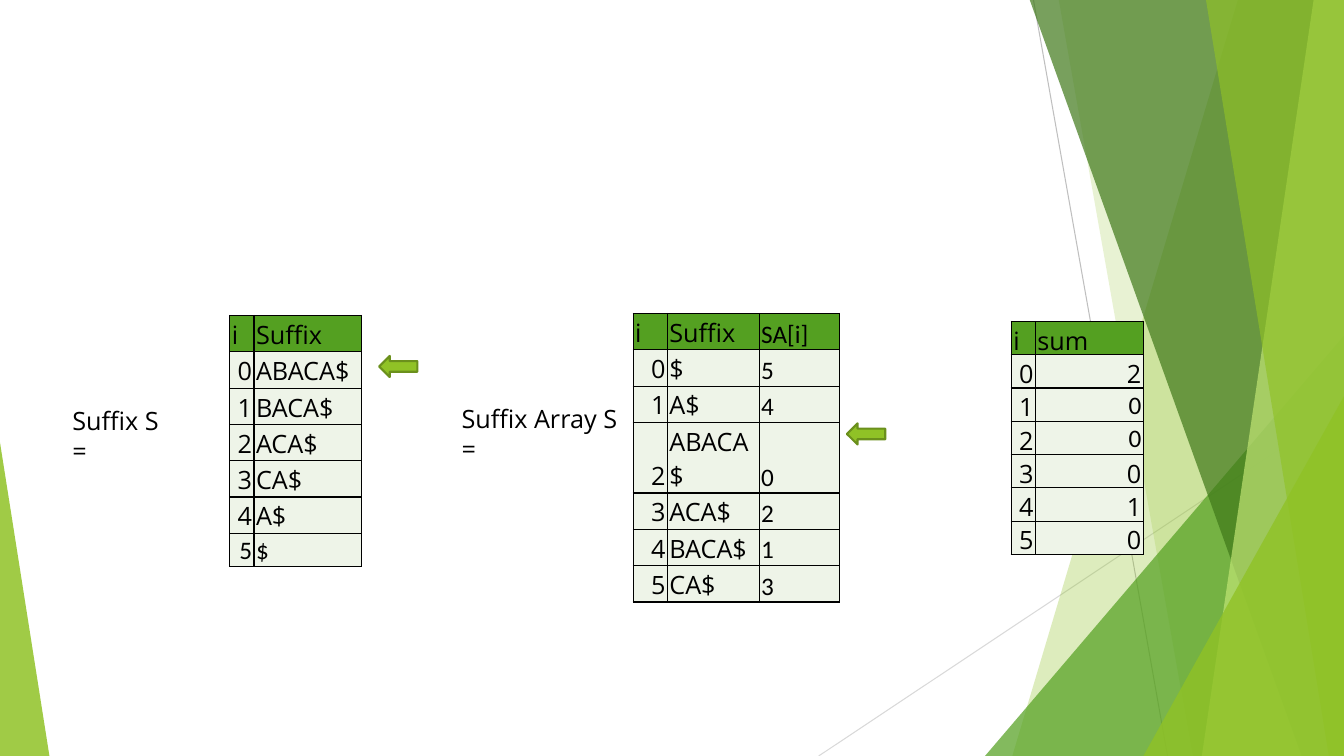
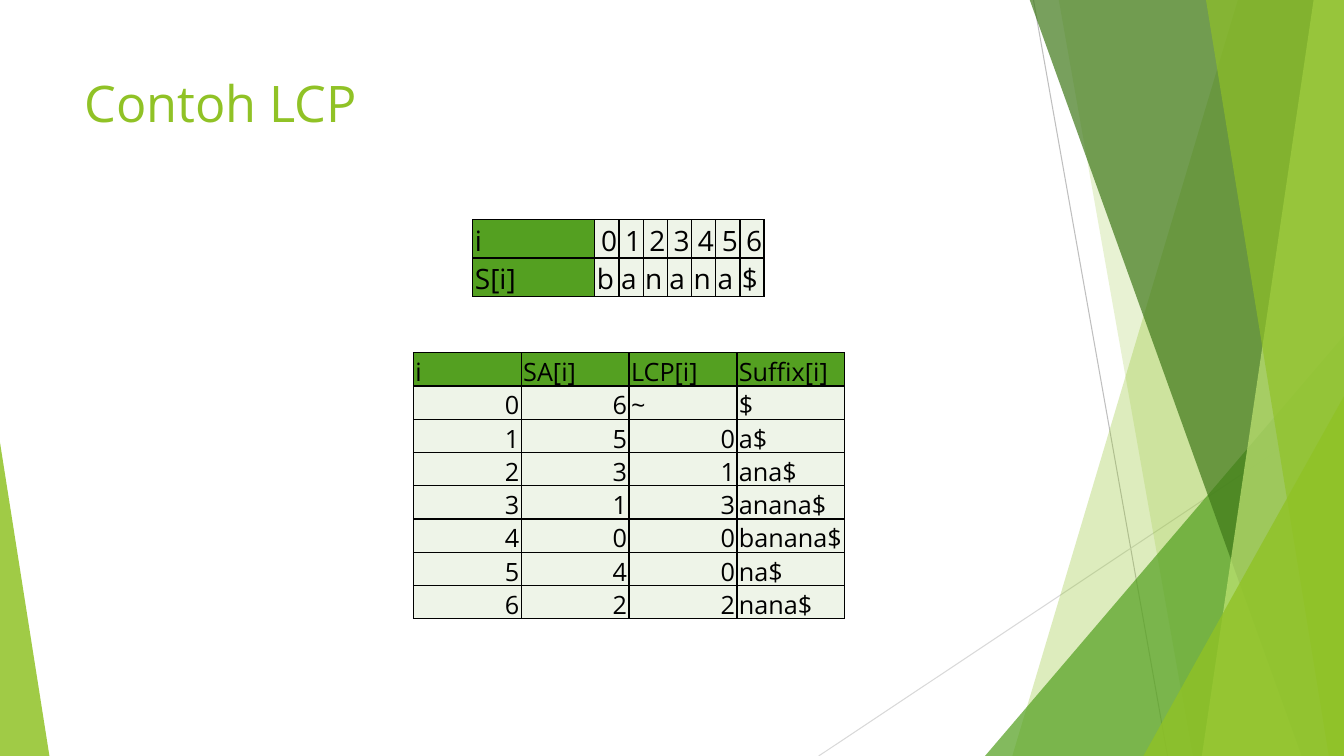
"""Build two slides on suffix arrays and LCP over a shared faceted backdrop."""
import dataclasses

import lxml.etree
import pptx
import pptx.dml.color
import pptx.enum.shapes
import pptx.enum.text
import pptx.oxml.ns
import pptx.util

Inches = pptx.util.Inches
Pt = pptx.util.Pt
Shape = pptx.enum.shapes.MSO_SHAPE
Align = pptx.enum.text.PP_ALIGN
qn = pptx.oxml.ns.qn


@dataclasses.dataclass(frozen=True)
class Theme:
    lime: str = "90C226"
    green: str = "54A021"
    dark: str = "3F7819"
    pale: str = "C0E474"
    tint: str = "EEF4E8"
    edge: str = "6B901C"
    ink: str = "000000"
    ray: str = "BFBFBF"
    mist: str = "D9D9D9"
    font: str = "Open Sans"
    plain: str = "Calibri"
    title: int = 36
    large: int = 20
    body: int = 18


THEME = Theme()
WIDE, HIGH = 13.33, 7.5


def rgb(code):
    return pptx.dml.color.RGBColor.from_string(code)


def apply(target, values):
    for name, value in values.items():
        setattr(target, name, value)


def write(frame, text, size, color=THEME.ink, font=THEME.font, align=Align.LEFT):
    para = frame.paragraphs[0]
    para.alignment = align
    run = para.add_run()
    run.text = text
    apply(run.font, {"name": font, "size": Pt(size), "bold": False})
    run.font.color.rgb = rgb(color)


def label(slide, text, box, size=THEME.body, color=THEME.ink):
    frame = slide.shapes.add_textbox(*map(Inches, box)).text_frame
    frame.word_wrap = True
    write(frame, text, size, color)


def paint(shape, color, alpha=100):
    shape.shadow.inherit = False
    shape.fill.solid()
    shape.fill.fore_color.rgb = rgb(color)
    shape.line.fill.background()
    if alpha < 100:
        tone = shape.element.spPr.find(".//" + qn("a:srgbClr"))
        lxml.etree.SubElement(tone, qn("a:alpha"), val=str(alpha * 1000))


def ray(slide, start, end, color):
    line = slide.shapes.add_connector(
        pptx.enum.shapes.MSO_CONNECTOR.STRAIGHT, *map(Inches, start + end))
    line.line.color.rgb = rgb(color)
    line.line.width = Pt(0.75)
    lxml.etree.SubElement(line.element.spPr, qn("a:effectLst"))


def band(slide, top, foot, color, alpha):
    peak = -0.01
    points = [(WIDE, peak), (WIDE, HIGH), (foot, HIGH)]
    pen = slide.shapes.build_freeform(Inches(top), Inches(peak))
    pen.add_line_segments([tuple(map(Inches, spot)) for spot in points])
    paint(pen.convert_to_shape(), color, alpha)


def wedge(slide, left, top, width, lean, color, alpha):
    box = map(Inches, (left, top, width, HIGH - top))
    shape = slide.shapes.add_shape(Shape.ISOSCELES_TRIANGLE, *box)
    shape.adjustments[0] = lean
    paint(shape, color, alpha)


def arrow(slide, left, top):
    box = map(Inches, (left, top, 0.38, 0.21))
    shape = slide.shapes.add_shape(Shape.RIGHT_ARROW, *box)
    shape.rotation = 180
    paint(shape, THEME.lime)
    shape.line.color.rgb = rgb(THEME.edge)
    shape.line.width = Pt(1.5)


def frame_cell(cell):
    props = cell._tc.get_or_add_tcPr()
    for side in ("a:lnL", "a:lnR", "a:lnT", "a:lnB"):
        line = lxml.etree.SubElement(props, qn(side), w=str(Pt(1)))
        fill = lxml.etree.SubElement(line, qn("a:solidFill"))
        lxml.etree.SubElement(fill, qn("a:srgbClr"), val=THEME.ink)


def grid(slide, left, top, cols, step, rows, size=THEME.body,
         side=False, plain=(), flush=()):
    box = map(Inches, (left, top, sum(cols), step * len(rows)))
    table = slide.shapes.add_table(len(rows), len(cols), *box).table
    apply(table, {"first_row": False, "horz_banding": False})
    for col, width in zip(table.columns, cols):
        col.width = Inches(width)
    inset = Inches(0.02)
    for r, row in enumerate(rows):
        table.rows[r].height = Inches(step)
        for c, text in enumerate(row):
            cell = table.cell(r, c)
            apply(cell, {
                "margin_left": inset, "margin_right": inset,
                "margin_top": inset, "margin_bottom": 0,
                "vertical_anchor": pptx.enum.text.MSO_ANCHOR.BOTTOM})
            frame_cell(cell)
            head = (c if side else r) == 0
            cell.fill.solid()
            cell.fill.fore_color.rgb = rgb(THEME.green if head else THEME.tint)
            right = text.isdigit() and c not in flush
            write(cell.text_frame, text, size,
                  font=THEME.plain if (r, c) in plain else THEME.font,
                  align=Align.RIGHT if right else Align.LEFT)


def count(head, *columns):
    """Number the rows made from the columns, below their heading."""
    return [head] + [(str(i), *row) for i, row in enumerate(zip(*columns))]


def backdrop(slide, layout):
    """Draw the facets, then move them to the layout that all slides share."""
    ray(slide, (10.25, 0), (11.58, HIGH), THEME.ray)
    ray(slide, (WIDE, 4.03), (8.12, HIGH), THEME.mist)
    band(slide, 12.28, 10.04, THEME.lime, 30)
    band(slide, 10.5, 11.83, THEME.lime, 20)
    wedge(slide, 9.77, 3.33, 3.56, 1, THEME.green, 72)
    band(slide, 10.21, 12.91, THEME.dark, 70)
    band(slide, 13.03, 11.92, THEME.pale, 70)
    band(slide, 11.96, 13.18, THEME.lime, 65)
    wedge(slide, 11.34, 3.93, 1.99, 1, THEME.lime, 80)
    wedge(slide, 0, 4.39, 0.49, 0, THEME.lime, 85)
    tree = layout.element.cSld.spTree
    for holder in list(layout.placeholders):
        tree.remove(holder.element)
    for shape in list(slide.shapes):
        tree.append(shape.element)


def arrays(slide):
    word = "ABACA$"
    tails = [word[i:] for i in range(len(word))]
    order = sorted(range(len(word)), key=lambda i: tails[i])
    grid(slide, 2.28, 3.13, (0.24, 1.07), 0.33,
         count(("i", "Suffix"), tails), plain={(6, 0), (6, 1)})
    grid(slide, 6.28, 3.11, (0.34, 0.91, 0.8), 0.34,
         count(("i", "Suffix", "SA[i]"),
               [tails[i] for i in order], map(str, order)),
         plain={(r, 2) for r in range(7)}, flush={2})
    label(slide, "Suffix S =", (0.62, 3.97, 1.2, 0.4))
    label(slide, "Suffix Array S =", (4.48, 3.95, 1.8, 0.4))
    arrow(slide, 3.76, 3.53)
    arrow(slide, 8.4, 4.2)
    grid(slide, 10.03, 3.19, (0.24, 1.07), 0.33,
         count(("i", "sum"), "200010"), plain={(2, 1), (3, 1)})


def prefixes(slide):
    word = "banana$"
    order = sorted(range(len(word)), key=lambda i: word[i:])
    label(slide, "Contoh LCP", (0.74, 0.67, 9.4, 1.44), THEME.title, THEME.lime)
    grid(slide, 4.1, 3.5, (1.07,) * 4, 0.33,
         count(("i", "SA[i]", "LCP[i]", "Suffix[i]"),
               map(str, order), "~013002", [word[i:] for i in order]))
    grid(slide, 4.69, 2.18, (1.21,) + (0.24,) * 7, 0.38,
         [("i", *map(str, range(len(word)))), ("S[i]", *word)],
         size=THEME.large, side=True)


def main():
    deck = pptx.Presentation()
    apply(deck, {"slide_width": Inches(WIDE), "slide_height": Inches(HIGH)})
    blank = deck.slide_layouts[6]
    first = deck.slides.add_slide(blank)
    backdrop(first, blank)
    arrays(first)
    prefixes(deck.slides.add_slide(blank))
    deck.save("out.pptx")


main()
